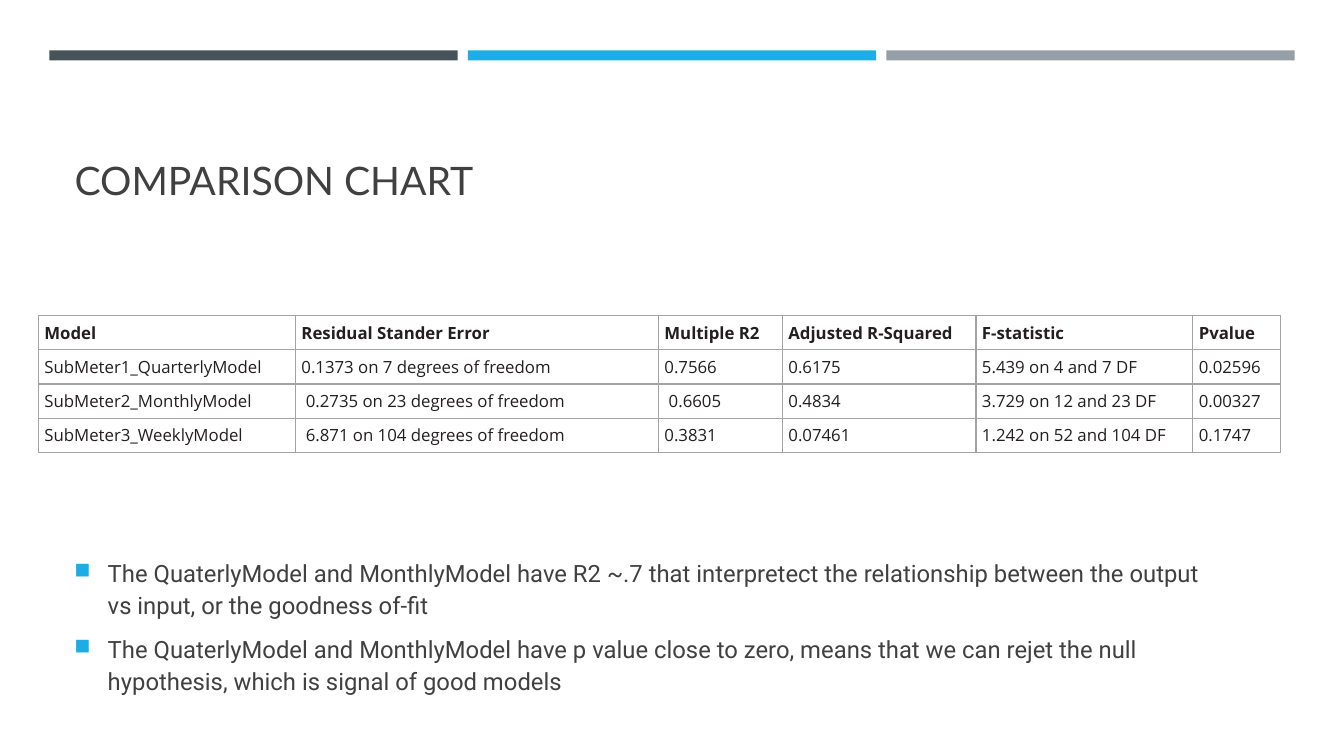
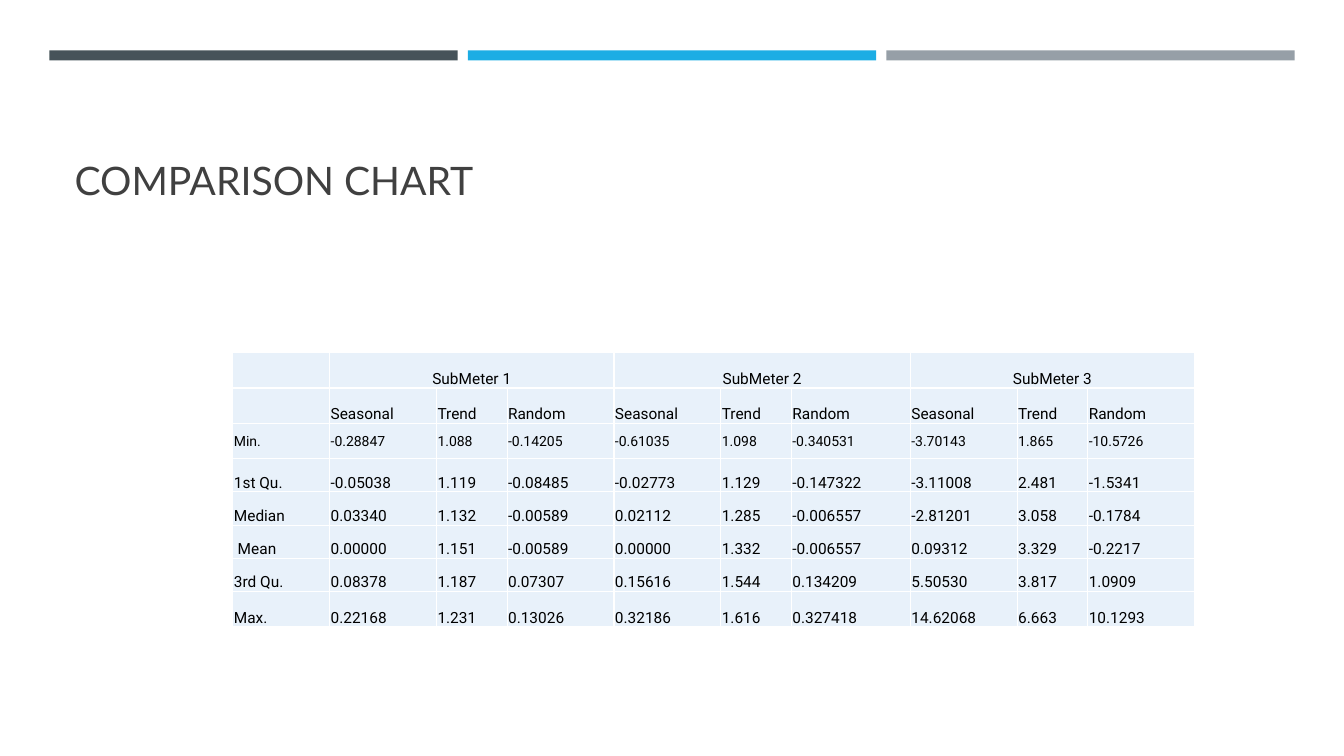
from lxml.etree import SubElement
from pptx import Presentation
from pptx.dml.color import RGBColor
from pptx.enum.shapes import MSO_SHAPE
from pptx.enum.text import MSO_ANCHOR, PP_ALIGN
from pptx.oxml.ns import qn
from pptx.util import Pt

SCALE = 9144  # EMU per px, 100 px to the inch

SLATE = RGBColor(0x46, 0x53, 0x59)
BLUE = RGBColor(0x1C, 0xAD, 0xE4)
GRAY = RGBColor(0x96, 0x9F, 0xA7)
TEXT = RGBColor(0x40, 0x40, 0x40)
INK = RGBColor(0x23, 0x1F, 0x20)
BLACK = RGBColor(0x00, 0x00, 0x00)
WHITE = RGBColor(0xFF, 0xFF, 0xFF)
RULE = RGBColor(0xA3, 0xA3, 0xA3)
PALE = RGBColor(0xE8, 0xF1, 0xFA)

TITLE_FONT, TABLE_FONT, BODY_FONT = "Lato", "Open Sans", "Roboto"

MODEL_COLS = [255, 360, 123, 192, 215, 87]
MODELS = [
    ("Model", "Residual Stander Error", "Multiple R2", "Adjusted R-Squared",
     "F-statistic", "Pvalue"),
    ("SubMeter1_QuarterlyModel", "0.1373 on 7 degrees of freedom", "0.7566",
     "0.6175", "5.439 on 4 and 7 DF", "0.02596"),
    ("SubMeter2_MonthlyModel", " 0.2735 on 23 degrees of freedom", " 0.6605",
     "0.4834", "3.729 on 12 and 23 DF", "0.00327"),
    ("SubMeter3_WeeklyModel", " 6.871 on 104 degrees of freedom", "0.3831",
     "0.07461", "1.242 on 52 and 104 DF", "0.1747"),
]
FINDINGS = [
    "The QuaterlyModel and MonthlyModel have R2 ~.7 that interpretect the "
    "relationship between the output vs input, or the goodness of-fit",
    "The QuaterlyModel and MonthlyModel have p value close to zero, means that "
    "we can rejet the null hypothesis, which is signal of good models",
]

METERS = ["SubMeter 1", "SubMeter 2", "SubMeter 3"]
PARTS = ("Seasonal", "Trend", "Random")
SUMMARY_COLS = [96, 106, 70, 106, 106, 70, 118, 106, 70, 106]
SUMMARY_ROWS = [35, 35, 35, 33, 33, 33, 33, 35]
MIN_ROW = 2
SUMMARY = [
    ("",) + tuple(t for meter in METERS for t in (meter, "", "")),
    ("",) + PARTS * len(METERS),
    ("Min.", "-0.28847", "1.088", "-0.14205", "-0.61035", "1.098", "-0.340531",
     "-3.70143", "1.865", "-10.5726"),
    ("1st Qu.", "-0.05038", "1.119", "-0.08485", "-0.02773", "1.129", "-0.147322",
     "-3.11008", "2.481", "-1.5341"),
    ("Median", "0.03340", "1.132", "-0.00589", "0.02112", "1.285", "-0.006557",
     "-2.81201", "3.058", "-0.1784"),
    (" Mean", "0.00000", "1.151", "-0.00589", "0.00000", "1.332", "-0.006557",
     "0.09312", "3.329", "-0.2217"),
    ("3rd Qu.", "0.08378", "1.187", "0.07307", "0.15616", "1.544", "0.134209",
     "5.50530", "3.817", "1.0909"),
    ("Max.", "0.22168", "1.231", "0.13026", "0.32186", "1.616", "0.327418",
     "14.62068", "6.663", "10.1293"),
]


def px(*lengths):
    return [n * SCALE for n in lengths]


def write(p, text, font=BODY_FONT, size=11, color=BLACK, bold=False,
          align=PP_ALIGN.LEFT):
    p.alignment = align
    r = p.add_run()
    r.text = text
    r.font.name, r.font.size, r.font.bold = font, Pt(size), bold
    r.font.color.rgb = color


def solid_fill(parent, color):
    fill = SubElement(parent, qn("a:solidFill"))
    SubElement(fill, qn("a:srgbClr"), val=str(color))


def add_bands(s):
    for i, color in enumerate((SLATE, BLUE, GRAY)):
        band = s.shapes.add_shape(MSO_SHAPE.RECTANGLE, *px(49 + i * 415, 50, 405, 10))
        band.shadow.inherit = False
        band.fill.solid()
        band.fill.fore_color.rgb = color
        band.line.fill.background()


def add_titled_slide(prs, title):
    s = prs.slides.add_slide(prs.slide_layouts[5])
    add_bands(s)
    sp = s.shapes.title
    sp.left, sp.top, sp.width, sp.height = px(64, 77, 1206, 130)
    sp.text_frame.vertical_anchor = MSO_ANCHOR.BOTTOM
    write(sp.text_frame.paragraphs[0], title, font=TITLE_FONT, size=28, color=TEXT)
    return s


def format_cell(cell, border, fill, inset, anchor):
    cell.margin_left = cell.margin_right = inset[0] * SCALE
    cell.margin_top, cell.margin_bottom = px(*inset[1:])
    cell.vertical_anchor = anchor
    tc_pr = cell._tc.get_or_add_tcPr()
    for side in ("lnL", "lnR", "lnT", "lnB"):
        solid_fill(SubElement(tc_pr, qn("a:" + side), w=str(Pt(1))), border)
    if fill is None:
        cell.fill.background()
    else:
        cell.fill.solid()
        cell.fill.fore_color.rgb = fill


def add_grid(s, x, y, cols, rows, border, inset, fill=None):
    frame = s.shapes.add_table(len(rows), len(cols),
                               *px(x, y, sum(cols), sum(rows)))
    table = frame.table
    table.first_row = table.horz_banding = False
    for col, width in zip(table.columns, cols):
        col.width = width * SCALE
    for row, height in zip(table.rows, rows):
        row.height = height * SCALE
    for cell in table.iter_cells():
        format_cell(cell, border, fill, inset, MSO_ANCHOR.MIDDLE)
    return table


def add_bullets(s, x, y, w, h, items):
    tf = s.shapes.add_textbox(*px(x, y, w, h)).text_frame
    tf.word_wrap = True
    tf.vertical_anchor = MSO_ANCHOR.MIDDLE
    for i, item in enumerate(items):
        p = tf.paragraphs[0] if i == 0 else tf.add_paragraph()
        write(p, item, size=17, color=TEXT)
        p.line_spacing = 1.1
        p.space_before, p.space_after = Pt(3.4), Pt(6)
        p_pr = p._p.get_or_add_pPr()
        p_pr.set("marL", str(33 * SCALE))
        p_pr.set("indent", str(-33 * SCALE))
        bullet_color = SubElement(p_pr, qn("a:buClr"))
        SubElement(bullet_color, qn("a:srgbClr"), val=str(BLUE))
        SubElement(p_pr, qn("a:buSzPct"), val="92000")
        SubElement(p_pr, qn("a:buChar"), char="■")


def build_model_slide(prs):
    s = add_titled_slide(prs, "COMPARISON CHART")
    table = add_grid(s, 38, 313, MODEL_COLS, [34] * len(MODELS), RULE, (6, 5, 5))
    for i, row in enumerate(MODELS):
        for j, text in enumerate(row):
            write(table.cell(i, j).text_frame.paragraphs[0], text,
                  font=TABLE_FONT, size=12, color=INK, bold=i == 0)
    add_bullets(s, 64, 516, 1155, 209, FINDINGS)


def build_summary_slide(prs):
    s = add_titled_slide(prs, "COMPARISON CHART")
    table = add_grid(s, 231, 350, SUMMARY_COLS, SUMMARY_ROWS, WHITE, (1, 1, 0), PALE)
    # One heading over the three parts of each meter
    for j in range(1, len(SUMMARY_COLS), len(PARTS)):
        table.cell(0, j).merge(table.cell(0, j + len(PARTS) - 1))
    for i, row in enumerate(SUMMARY):
        for j, text in enumerate(row):
            if not text:
                continue
            cell = table.cell(i, j)
            if i != MIN_ROW:
                cell.vertical_anchor = MSO_ANCHOR.BOTTOM
            write(cell.text_frame.paragraphs[0], text,
                  size=10 if i == MIN_ROW else 11,
                  align=PP_ALIGN.CENTER if i == 0 else PP_ALIGN.LEFT)


def main():
    prs = Presentation()
    prs.slide_width, prs.slide_height = px(1333, 750)
    build_model_slide(prs)
    build_summary_slide(prs)
    prs.save("out.pptx")


if __name__ == "__main__":
    main()
